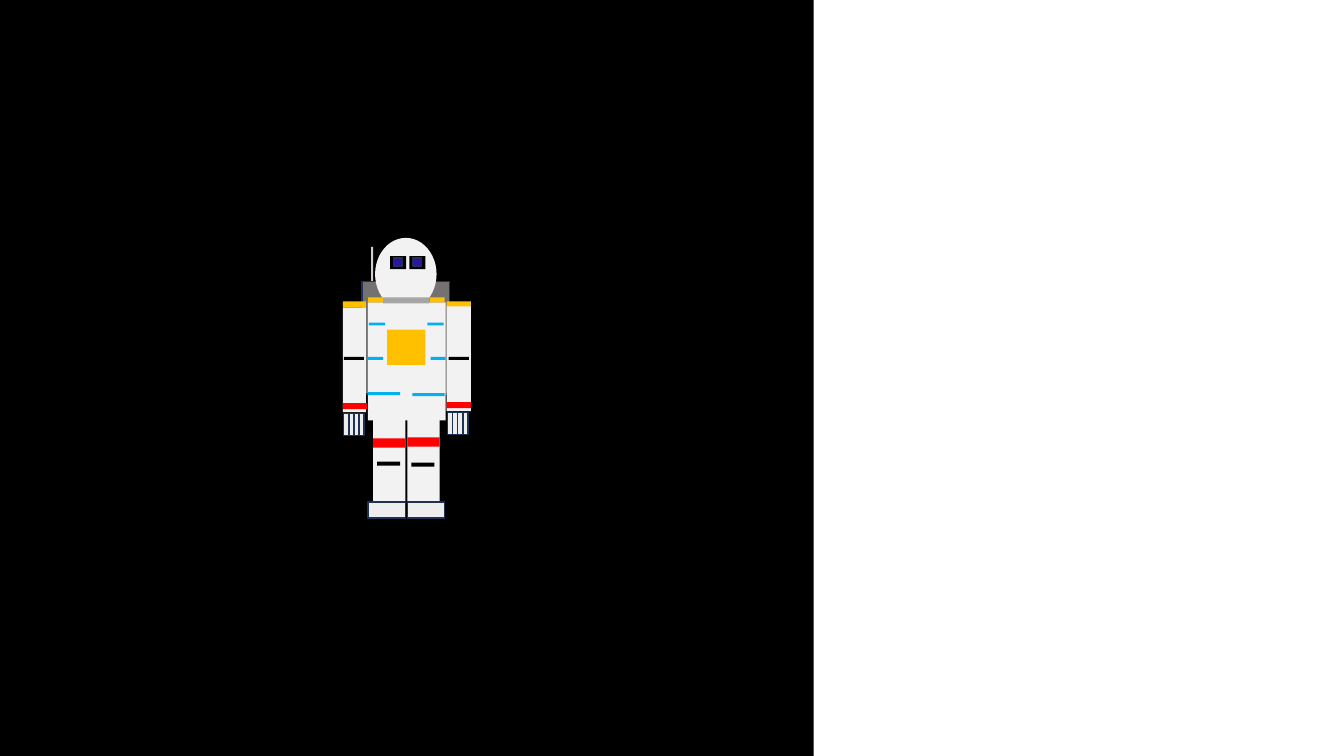
from pptx import Presentation
from pptx.dml.color import RGBColor
from pptx.enum.shapes import MSO_SHAPE as Shape
from pptx.util import Emu, Pt

PX = 9144  # EMU in one px, at 100 px to the inch

BLACK, SUIT, GLOVE = "000000", "F2F2F2", "EDEDED"
GOLD, RED, BLUE = "FFC000", "FF0000", "00B0F0"
PACK, ANTENNA, COLLAR, EYE = "767171", "D0CECE", "A6A6A6", "2B13A5"
OUTLINE = "1E3256"


def px(length):
    return Emu(length * PX)


def color(code):
    return RGBColor.from_string(code)


def add_part(shapes, left, top, width, height, fill, line=None, kind=Shape.RECTANGLE):
    part = shapes.add_shape(kind, px(left), px(top), px(width), px(height))
    part.shadow.inherit = False
    part.fill.solid()
    part.fill.fore_color.rgb = color(fill)
    if line:
        part.line.color.rgb = color(line)
        part.line.width = Pt(1)
    else:
        part.line.fill.background()


def add_pair(shapes, first, second, size, fill, line=None):
    """Two equal parts, one for each side of the body."""
    for left, top in (first, second):
        add_part(shapes, left, top, *size, fill, line)


def add_glove(shapes, left, top):
    for finger in range(4):
        add_part(shapes, left + 5 * finger, top, 5, 22, GLOVE, OUTLINE)


def add_head(shapes):
    add_part(shapes, 372, 236, 61, 72, SUIT, kind=Shape.OVAL)
    add_pair(shapes, (387, 254), (406, 254), (16, 13), BLACK)
    add_pair(shapes, (390, 256), (409, 256), (9, 8), EYE, OUTLINE)


def add_torso(shapes):
    add_part(shapes, 365, 300, 77, 117, SUIT)
    add_pair(shapes, (365, 295), (426, 295), (15, 5), GOLD)
    # Blue stripes
    add_pair(shapes, (366, 320), (424, 320), (16, 3), BLUE)
    add_pair(shapes, (365, 354), (427, 354), (15, 3), BLUE)
    add_pair(shapes, (365, 389), (409, 390), (32, 3), BLUE)
    # Chest plate and collar
    add_part(shapes, 384, 327, 38, 35, GOLD)
    add_part(shapes, 380, 295, 46, 6, COLLAR)


def add_arms(shapes):
    add_part(shapes, 340, 305, 23, 104, SUIT)
    add_part(shapes, 443, 303, 24, 105, SUIT)
    add_part(shapes, 340, 299, 23, 6, GOLD)
    add_part(shapes, 443, 299, 24, 5, GOLD)
    add_glove(shapes, 341, 410)
    add_glove(shapes, 444, 409)
    add_pair(shapes, (340, 400), (443, 399), (24, 6), RED)
    add_pair(shapes, (341, 354), (445, 354), (20, 3), BLACK)


def add_legs(shapes):
    add_pair(shapes, (370, 410), (404, 410), (32, 87), SUIT)
    add_pair(shapes, (365, 498), (404, 498), (37, 16), GLOVE, OUTLINE)
    add_pair(shapes, (370, 435), (404, 434), (32, 9), RED)
    add_pair(shapes, (374, 458), (408, 459), (23, 4), BLACK)


def main():
    deck = Presentation()
    deck.slide_width, deck.slide_height = px(1333), px(750)
    page = deck.slides.add_slide(deck.slide_layouts[6])

    # Night sky
    add_part(page.shapes, 0, 0, 807, 750, BLACK)

    # Astronaut, from back to front
    body = page.shapes.add_group_shape().shapes
    add_part(body, 368, 245, 2, 34, ANTENNA)
    add_part(body, 359, 279, 87, 112, PACK, OUTLINE)
    add_head(body)
    add_legs(body)
    add_torso(body)
    add_arms(body)

    deck.save("out.pptx")


if __name__ == "__main__":
    main()
